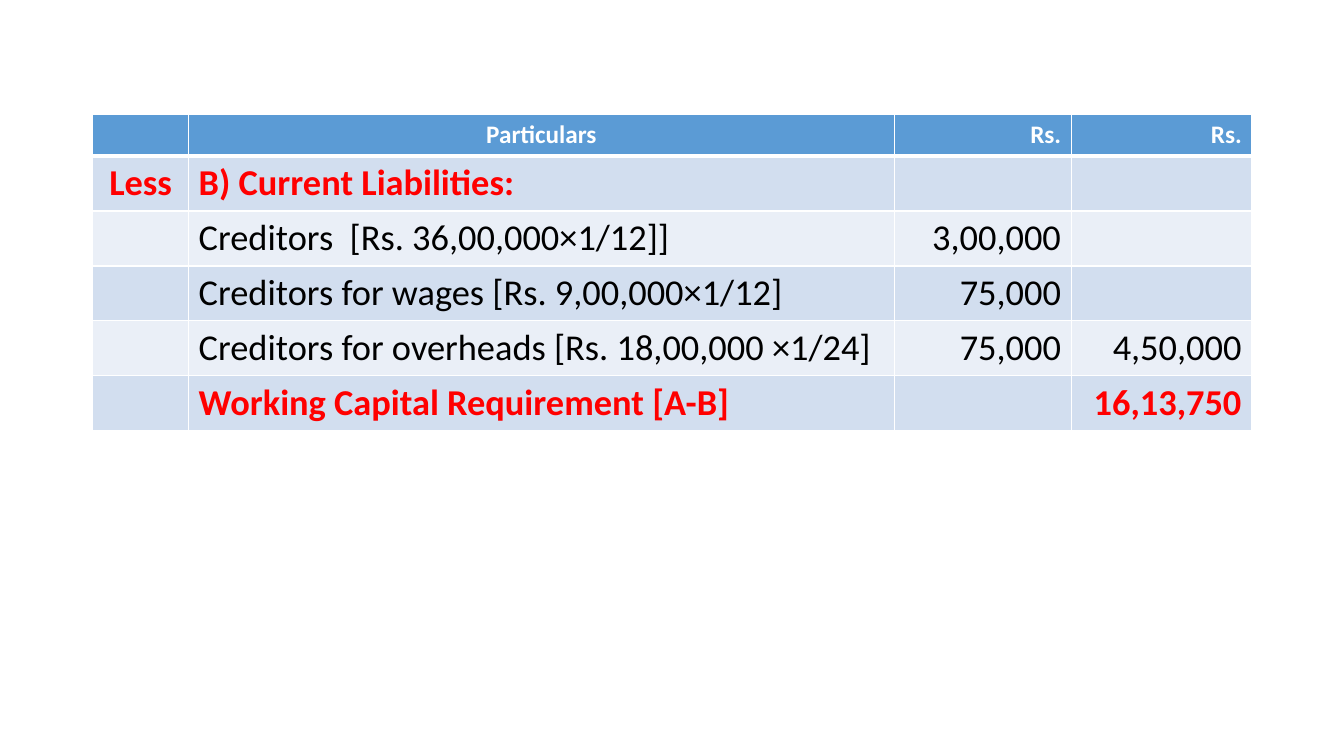
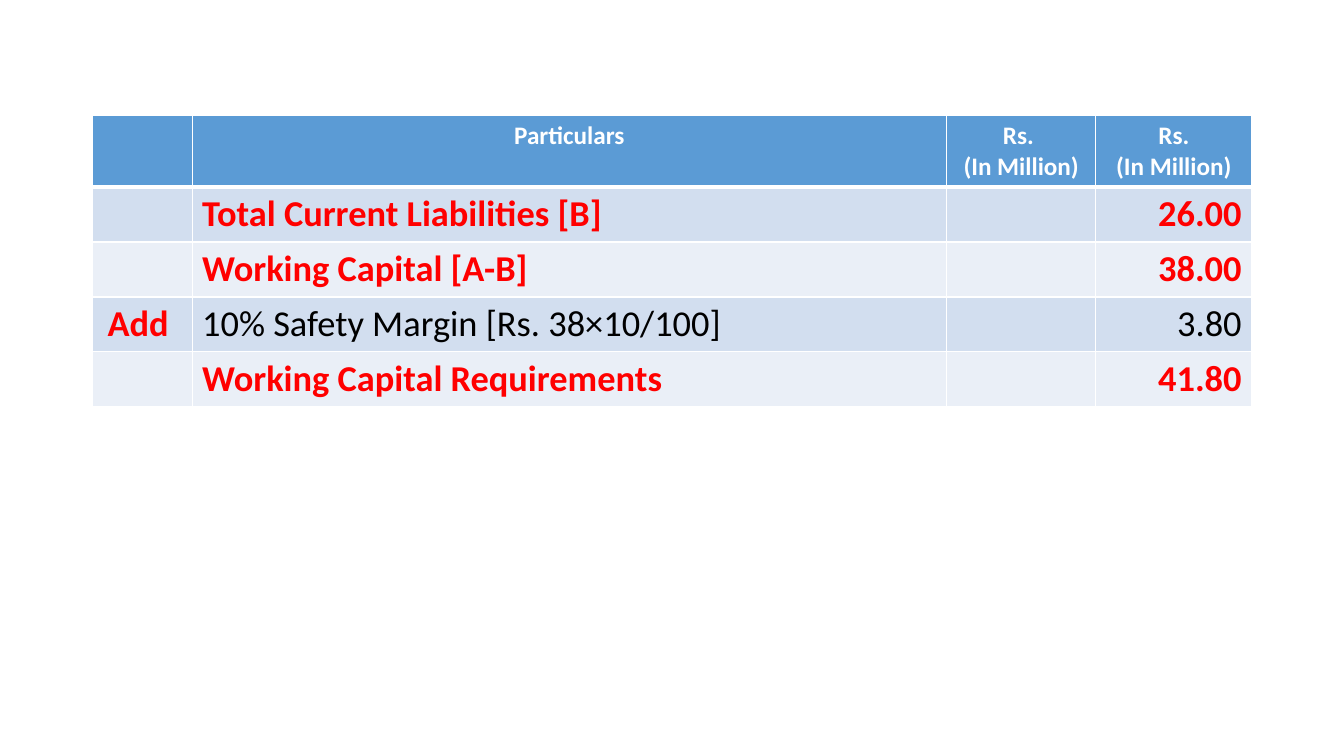
import pptx
import pptx.util
import pptx.dml.color
import pptx.enum.text
import lxml.etree

Pt = pptx.util.Pt
ALIGN = pptx.enum.text.PP_ALIGN
COLORS = {"header": "5B9BD5", "odd": "D2DEEF", "even": "EAEFF7",
          "white": "FFFFFF", "black": "000000", "red": "FF0000"}
FORMATS = {
    "header": {"size": Pt(18), "bold": True, "name": "Calibri"},
    "key": {"size": Pt(26), "bold": True, "name": "Calibri"},
    "plain": {"size": Pt(26), "bold": False, "name": "Calibri"},
}
TEXT_COLORS = {"header": "white", "key": "red", "plain": "black"}
BODY_ALIGN = [ALIGN.CENTER, ALIGN.LEFT, ALIGN.RIGHT, ALIGN.RIGHT]
LEFT, BODY_HEIGHT = 66.25, 39.25

PAGES = [
    {
        "top": 82, "header_height": 29.5, "amount_align": ALIGN.RIGHT,
        "widths": [68.5, 504, 126.5, 129],
        "rows": [
            ("header", ["", "Particulars", "Rs.", "Rs."]),
            ("key", ["Less", "B) Current Liabilities:", "", ""]),
            ("plain", ["", "Creditors  [Rs. 36,00,000×1/12]]", "3,00,000", ""]),
            ("plain", ["", "Creditors for wages [Rs. 9,00,000×1/12]", "75,000", ""]),
            ("plain", ["", "Creditors for overheads [Rs. 18,00,000 ×1/24]", "75,000", "4,50,000"]),
            ("key", ["", "Working Capital Requirement [A-B]", "", "16,13,750"]),
        ],
    },
    {
        "top": 82.5, "header_height": 51, "amount_align": ALIGN.CENTER,
        "widths": [71, 539, 106.5, 111.5],
        "rows": [
            ("header", ["", "Particulars", "Rs. \n(In Million)", "Rs.\n(In Million)"]),
            ("key", ["", "Total Current Liabilities [B]", "", "26.00"]),
            ("key", ["", "Working Capital [A-B]", "", "38.00"]),
            ("plain", ["Add ", "10% Safety Margin [Rs. 38×10/100]", "", "3.80"]),
            ("key", ["", "Working Capital Requirements", "", "41.80"]),
        ],
    },
]


def draw_borders(cell, widths):
    properties = cell._tc.get_or_add_tcPr()
    namespace = "{http://schemas.openxmlformats.org/drawingml/2006/main}"
    for side, width in widths.items():
        line = lxml.etree.SubElement(properties, namespace + "ln" + side, w=str(Pt(width)))
        fill = lxml.etree.SubElement(line, namespace + "solidFill")
        lxml.etree.SubElement(fill, namespace + "srgbClr", val=COLORS["white"])


def write_cell(cell, text, style, align):
    cell.text = text
    for para in cell.text_frame.paragraphs:
        para.alignment = align
        for span in para.runs:
            for name, value in FORMATS[style].items():
                setattr(span.font, name, value)
            span.font.color.rgb = pptx.dml.color.RGBColor.from_string(COLORS[TEXT_COLORS[style]])


deck = pptx.Presentation()
deck.slide_width, deck.slide_height = Pt(960), Pt(540)

for content in PAGES:
    page = deck.slides.add_slide(deck.slide_layouts[6])
    rows, widths = content["rows"], content["widths"]
    heights = [content["header_height"]] + [BODY_HEIGHT] * (len(rows) - 1)
    table = page.shapes.add_table(len(rows), len(widths), Pt(LEFT), Pt(content["top"]),
                                  Pt(sum(widths)), Pt(sum(heights))).table
    for column, width in zip(table.columns, widths):
        column.width = Pt(width)
    header_align = [ALIGN.CENTER] * 2 + [content["amount_align"]] * 2

    for row_index, (style, texts) in enumerate(rows):
        table.rows[row_index].height = Pt(heights[row_index])
        is_header = style == "header"
        band = "header" if is_header else "odd" if row_index % 2 else "even"
        aligns = header_align if is_header else BODY_ALIGN
        borders = {"L": 1, "R": 1, "T": 3 if row_index == 1 else 1, "B": 3 if is_header else 1}
        for column_index, text in enumerate(texts):
            cell = table.cell(row_index, column_index)
            draw_borders(cell, borders)
            cell.fill.solid()
            cell.fill.fore_color.rgb = pptx.dml.color.RGBColor.from_string(COLORS[band])
            cell_style = "key" if column_index == 0 and not is_header else style
            write_cell(cell, text, cell_style, aligns[column_index])

deck.save("out.pptx")
